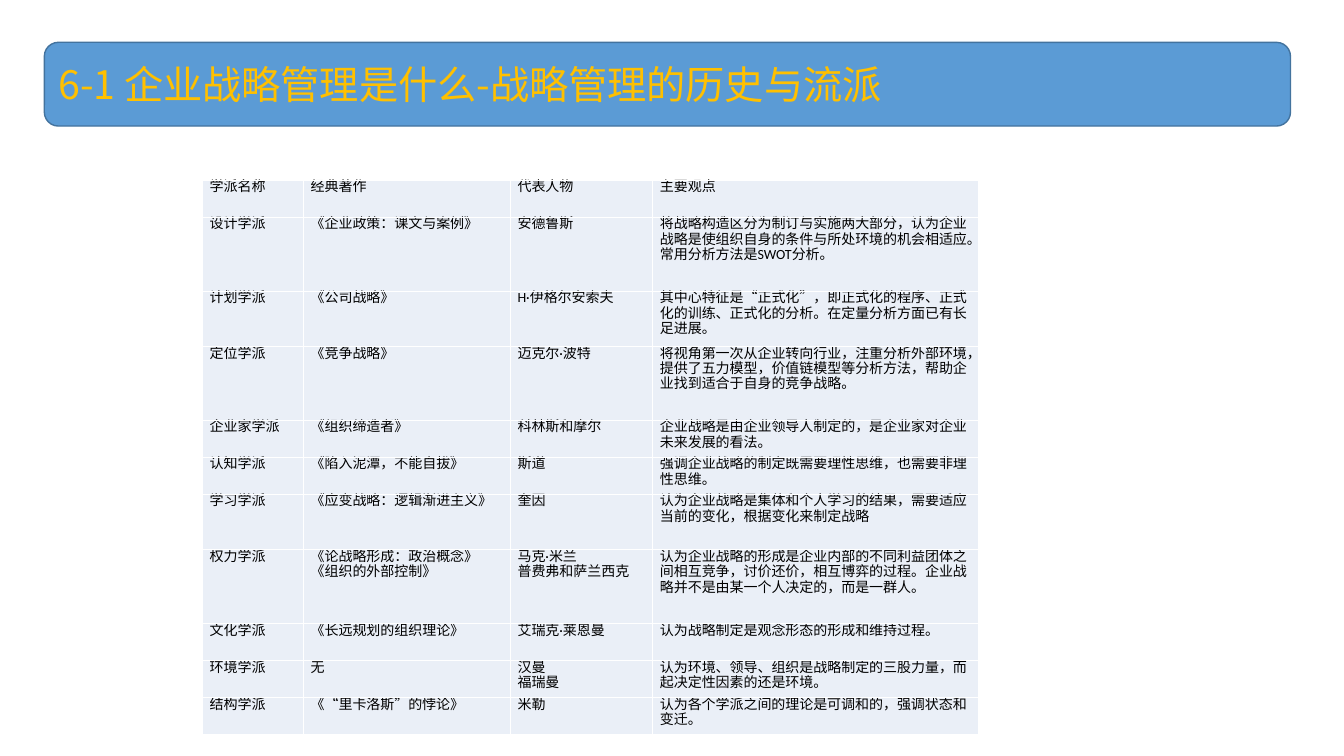
from dataclasses import dataclass
from itertools import product

from lxml import etree
from pptx import Presentation
from pptx.dml.color import RGBColor
from pptx.enum.lang import MSO_LANGUAGE_ID
from pptx.enum.shapes import MSO_SHAPE
from pptx.enum.text import MSO_ANCHOR, PP_ALIGN
from pptx.oxml.ns import qn
from pptx.util import Inches, Pt

ROUNDED = MSO_SHAPE.ROUNDED_RECTANGLE
MIDDLE, TOP = MSO_ANCHOR.MIDDLE, MSO_ANCHOR.TOP
LEFT = PP_ALIGN.LEFT
CHINESE = MSO_LANGUAGE_ID.SIMPLIFIED_CHINESE

SLIDE_WIDTH, SLIDE_HEIGHT = Inches(13.33), Inches(7.5)
CHINESE_FONT, LATIN_FONT = "Noto Sans CJK SC", "Calibri"
BLUE, DARK_BLUE, GOLD = "5B9BD5", "43739E", "FFC000"
PALE_BLUE, WHITE, BLACK = "EAEFF7", "FFFFFF", "000000"


@dataclass(frozen=True)
class Area:
    """A rectangle in percent of the slide's width and height."""
    left: float
    top: float
    width: float
    height: float

    def lengths(self) -> tuple[int, int, int, int]:
        return (int(SLIDE_WIDTH * self.left / 100), int(SLIDE_HEIGHT * self.top / 100),
                int(SLIDE_WIDTH * self.width / 100), int(SLIDE_HEIGHT * self.height / 100))


@dataclass(frozen=True)
class SchoolRow:
    """One table row; height counts equal grid lines."""
    height: int
    school: str
    works: str
    people: str
    view: str

    def texts(self) -> tuple[str, str, str, str]:
        return self.school, self.works, self.people, self.view


TITLE = "6-1 企业战略管理是什么-战略管理的历史与流派"
TITLE_AREA = Area(3.3, 5.6, 92.72, 11.07)
TABLE_AREA = Area(15.08, 23.87, 57.76, 73.33)
COLUMN_WEIGHTS = (1, 2.05, 1.41, 3.23)
ROWS = (
    SchoolRow(2, "学派名称", "经典著作", "代表人物", "主要观点"),
    SchoolRow(4, "设计学派", "《企业政策：课文与案例》", "安德鲁斯",
              "将战略构造区分为制订与实施两大部分，认为企业战略是使组织自身的条件与所处环境的机会相适应。"
              "常用分析方法是SWOT分析。"),
    SchoolRow(3, "计划学派", "《公司战略》", "H·伊格尔安索夫",
              "其中心特征是“正式化”，即正式化的程序、正式化的训练、正式化的分析。在定量分析方面已有长足进展。"),
    SchoolRow(4, "定位学派", "《竞争战略》", "迈克尔·波特",
              "将视角第一次从企业转向行业，注重分析外部环境，提供了五力模型，价值链模型等分析方法，"
              "帮助企业找到适合于自身的竞争战略。"),
    SchoolRow(2, "企业家学派", "《组织缔造者》", "科林斯和摩尔",
              "企业战略是由企业领导人制定的，是企业家对企业未来发展的看法。"),
    SchoolRow(2, "认知学派", "《陷入泥潭，不能自拔》", "斯道",
              "强调企业战略的制定既需要理性思维，也需要非理性思维。"),
    SchoolRow(3, "学习学派", "《应变战略：逻辑渐进主义》", "奎因",
              "认为企业战略是集体和个人学习的结果，需要适应当前的变化，根据变化来制定战略"),
    SchoolRow(4, "权力学派", "《论战略形成：政治概念》\n《组织的外部控制》", "马克·米兰\n普费弗和萨兰西克",
              "认为企业战略的形成是企业内部的不同利益团体之间相互竞争，讨价还价，相互博弈的过程。"
              "企业战略并不是由某一个人决定的，而是一群人。"),
    SchoolRow(2, "文化学派", "《长远规划的组织理论》", "艾瑞克·莱恩曼",
              "认为战略制定是观念形态的形成和维持过程。"),
    SchoolRow(2, "环境学派", "无", "汉曼\n福瑞曼",
              "认为环境、领导、组织是战略制定的三股力量，而起决定性因素的还是环境。"),
    SchoolRow(2, "结构学派", "《“里卡洛斯”的悖论》", "米勒",
              "认为各个学派之间的理论是可调和的，强调状态和变迁。"),
)


def color(code: str) -> RGBColor:
    return RGBColor.from_string(code)


def write_text(frame, text: str, *, size: float, ink: str, font: str,
               line_points: float | None = None) -> None:
    """Write one paragraph for each line of text."""
    frame.word_wrap = True
    for index, line in enumerate(text.split("\n")):
        para = frame.add_paragraph() if index else frame.paragraphs[0]
        para.alignment = LEFT
        if line_points:
            para.line_spacing = Pt(line_points)
        span = para.add_run()
        span.text = line
        span.font.size = Pt(size)
        span.font.name = font
        span.font.language_id = CHINESE
        span.font.color.rgb = color(ink)
        properties = span.font._element
        etree.SubElement(properties, qn("a:ea"), typeface=CHINESE_FONT)


def add_borders(cell, ink: str, points: float) -> None:
    properties = cell._tc.get_or_add_tcPr()
    for side in ("lnL", "lnR", "lnT", "lnB"):
        line = etree.SubElement(properties, qn(f"a:{side}"), w=str(Pt(points)))
        fill = etree.SubElement(line, qn("a:solidFill"))
        etree.SubElement(fill, qn("a:srgbClr"), val=ink)


def add_title(page) -> None:
    box = page.shapes.add_shape(ROUNDED, *TITLE_AREA.lengths())
    box.shadow.inherit = False
    box.fill.solid()
    box.fill.fore_color.rgb = color(BLUE)
    box.line.color.rgb = color(DARK_BLUE)
    box.line.width = Pt(1)
    box.text_frame.vertical_anchor = MIDDLE
    write_text(box.text_frame, TITLE, size=28, ink=GOLD, font=CHINESE_FONT)


def add_school_table(page) -> None:
    left, top, width, height = TABLE_AREA.lengths()
    table = page.shapes.add_table(len(ROWS), len(COLUMN_WEIGHTS), left, top, width, height).table
    table.first_row = table.horz_banding = False
    for column, weight in zip(table.columns, COLUMN_WEIGHTS):
        column.width = int(width * weight / sum(COLUMN_WEIGHTS))
    grid_line = height / sum(row.height for row in ROWS)
    for table_row, row in zip(table.rows, ROWS):
        table_row.height = int(grid_line * row.height)
    for row_index, column_index in product(range(len(ROWS)), range(len(COLUMN_WEIGHTS))):
        cell = table.cell(row_index, column_index)
        cell.margin_left = cell.margin_right = Inches(0.07)
        cell.margin_top = cell.margin_bottom = 0
        cell.vertical_anchor = TOP
        add_borders(cell, WHITE, 1)
        cell.fill.solid()
        cell.fill.fore_color.rgb = color(PALE_BLUE)
        write_text(cell.text_frame, ROWS[row_index].texts()[column_index],
                   size=10, ink=BLACK, font=LATIN_FONT, line_points=11)


def main() -> None:
    deck = Presentation()
    deck.slide_width, deck.slide_height = SLIDE_WIDTH, SLIDE_HEIGHT
    page = deck.slides.add_slide(deck.slide_layouts[6])
    add_title(page)
    add_school_table(page)
    deck.save("out.pptx")


if __name__ == "__main__":
    main()
